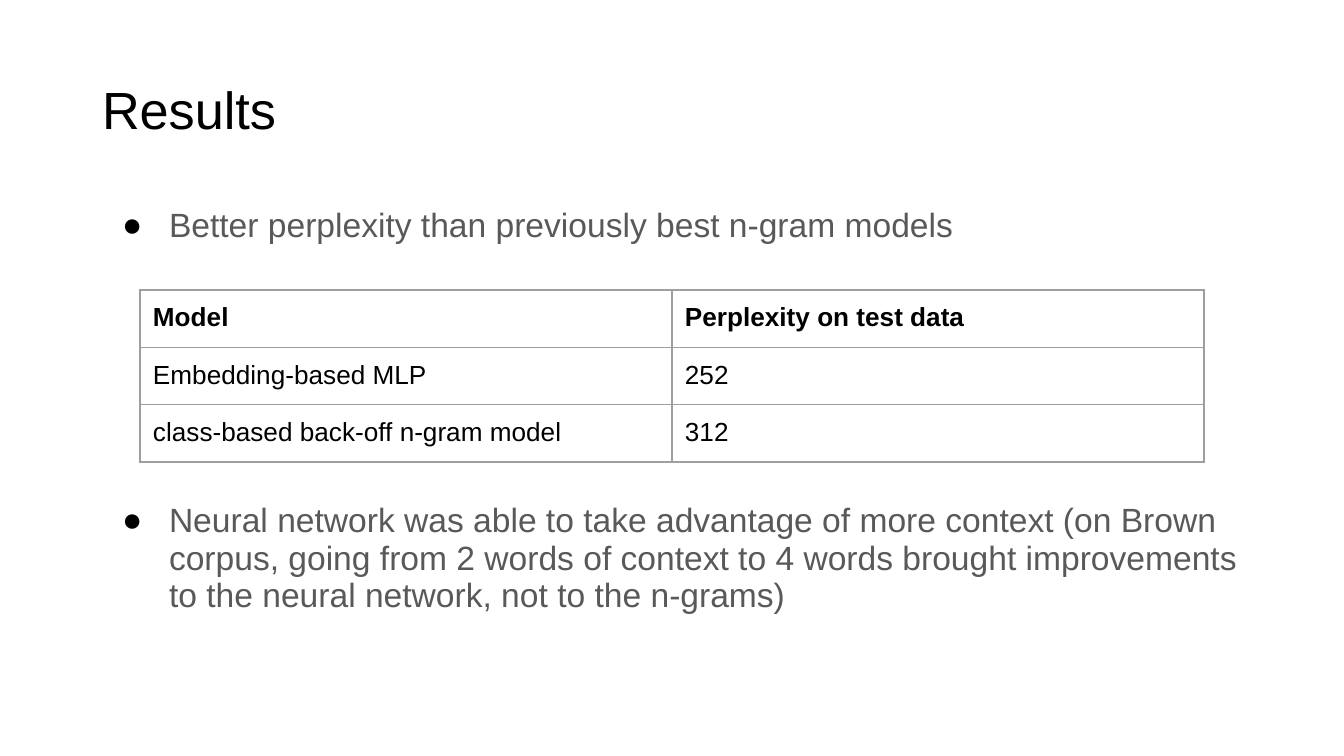
from lxml import etree
from pptx import Presentation
from pptx.dml.color import RGBColor
from pptx.enum.text import MSO_ANCHOR
from pptx.oxml.ns import qn
from pptx.util import Emu, Pt

MIDDLE = MSO_ANCHOR.MIDDLE
TOP = MSO_ANCHOR.TOP
EMU_PER_PX = 914400 / 134.4
FONT = "Arial"
COLORS = {"ink": "000000", "body": "595959", "rule": "9E9E9E", "paper": "FFFFFF"}
RESULTS = [
    ("Model", "Perplexity on test data"),
    ("Embedding-based MLP", "252"),
    ("class-based back-off n-gram model", "312"),
]
FINDINGS = [
    "Better perplexity than previously best n-gram models",
    "Neural network was able to take advantage of more context (on Brown corpus, "
    "going from 2 words of context to 4 words brought improvements to the neural "
    "network, not to the n-grams)",
]


def px(length):
    """Turn a pixel length into EMU."""
    return Emu(round(length * EMU_PER_PX))


def write(paragraph, text, size, color="ink", bold=False, line_spacing=None, before=0):
    """Put formatted text into a paragraph."""
    paragraph.line_spacing = line_spacing
    paragraph.space_before = px(before)
    run = paragraph.add_run()
    run.text = text
    run.font.name = FONT
    run.font.size = Pt(size)
    run.font.bold = bold
    run.font.color.rgb = RGBColor.from_string(COLORS[color])


def add_frame(slide, box, anchor):
    """Add a wrapping text box and return its text frame."""
    frame = slide.shapes.add_textbox(*map(px, box)).text_frame
    frame.word_wrap = True
    frame.vertical_anchor = anchor
    frame.margin_left = frame.margin_right = px(9)
    frame.margin_top = frame.margin_bottom = px(5)
    return frame


def add_bullet(paragraph, indent, hanging):
    """Give a paragraph a hanging round bullet."""
    props = paragraph._p.get_or_add_pPr()
    props.set("marL", str(px(indent)))
    props.set("indent", str(-px(hanging)))
    color = etree.SubElement(props, qn("a:buClr"))
    etree.SubElement(color, qn("a:srgbClr"), val=COLORS["ink"])
    etree.SubElement(props, qn("a:buFont"), typeface=FONT)
    etree.SubElement(props, qn("a:buChar"), char="●")


def add_borders(cell):
    """Draw a thin rule on all four sides of a cell."""
    props = cell._tc.get_or_add_tcPr()
    for position, side in enumerate(("a:lnL", "a:lnR", "a:lnT", "a:lnB")):
        line = etree.Element(qn(side), w=str(Pt(0.75)))
        fill = etree.SubElement(line, qn("a:solidFill"))
        etree.SubElement(fill, qn("a:srgbClr"), val=COLORS["rule"])
        props.insert(position, line)


def add_title(slide, box):
    """Place the slide title in its box."""
    frame = add_frame(slide, box, MIDDLE)
    write(frame.paragraphs[0], "Results", 28, line_spacing=0.9)


def add_findings(slide, box, table_gap):
    """Place the bulleted findings, leaving a gap for the table between them."""
    frame = add_frame(slide, box, TOP)
    for index, finding in enumerate(FINDINGS):
        paragraph = frame.add_paragraph() if index else frame.paragraphs[0]
        write(paragraph, finding, 18, color="body", line_spacing=0.94,
              before=index * table_gap)
        add_bullet(paragraph, 67, 47)


def add_results(slide, box):
    """Place the perplexity table in its box."""
    table = slide.shapes.add_table(len(RESULTS), len(RESULTS[0]), *map(px, box)).table
    table.first_row = table.horz_banding = False
    for row, values in enumerate(RESULTS):
        for column, value in enumerate(values):
            cell = table.cell(row, column)
            cell.margin_left = cell.margin_right = px(13)
            cell.margin_top = cell.margin_bottom = px(13)
            cell.fill.solid()
            cell.fill.fore_color.rgb = RGBColor.from_string(COLORS["paper"])
            add_borders(cell)
            write(cell.text_frame.paragraphs[0], value, 14, bold=row == 0)


def main():
    """Build and save the results slide."""
    deck = Presentation()
    deck.slide_width, deck.slide_height = px(1344), px(756)
    slide = deck.slides.add_slide(deck.slide_layouts[6])
    add_title(slide, (93, 40, 1158, 146))
    add_results(slide, (140, 290, 1064, 169))
    add_findings(slide, (93, 202, 1158, 480), table_gap=257)
    deck.save("out.pptx")


if __name__ == "__main__":
    main()
